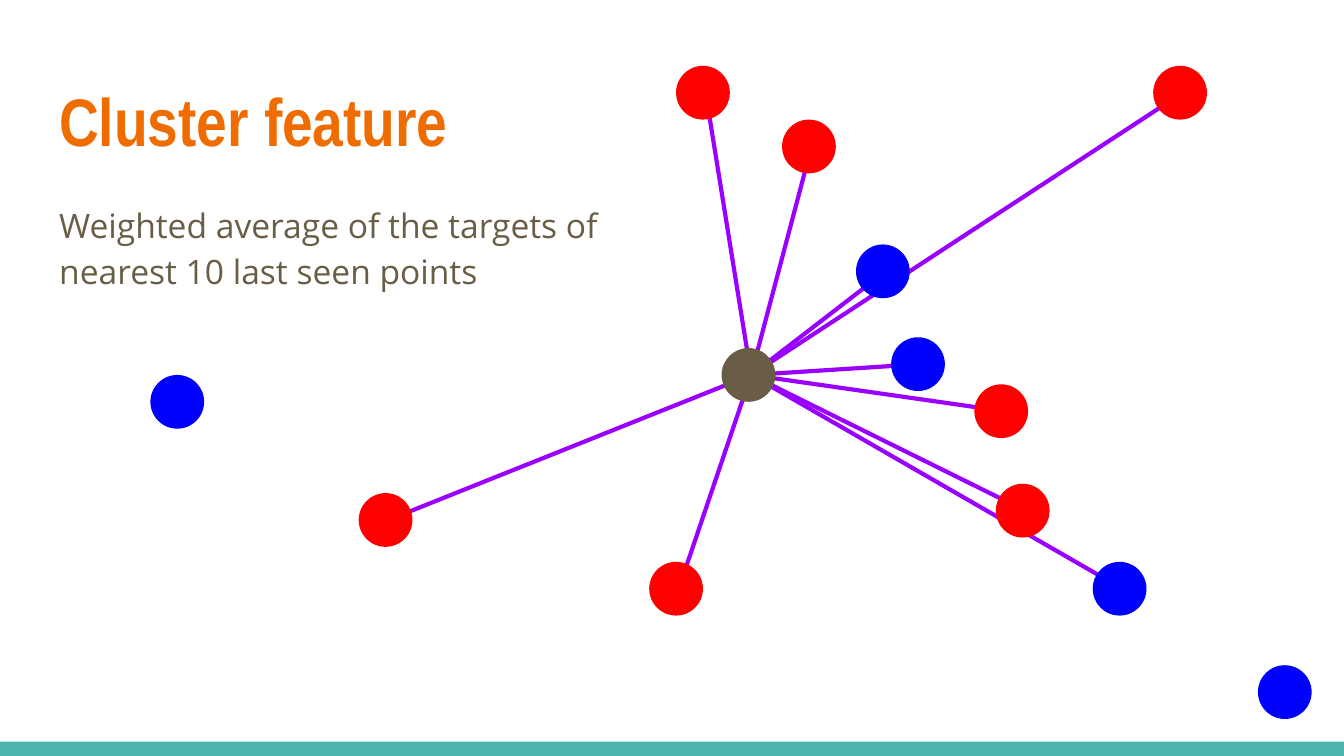
from pptx import Presentation
from pptx.dml.color import RGBColor as Rgb
from pptx.enum.shapes import MSO_CONNECTOR as Link, MSO_SHAPE as Form
from pptx.enum.text import MSO_ANCHOR as Anchor, MSO_AUTO_SIZE as Fit, PP_ALIGN as Align
from pptx.oxml.ns import qn
from pptx.util import Pt
from lxml.etree import SubElement

HUES = {"title": "EF6C00", "text": "695D46", "band": "4DB6AC",
        "red": "FF0000", "blue": "0000FF", "link": "9900FF"}
SIZE = 28.8
SHIFT = 1.4
HUB = (401, 200.9)
NEAR = [
    (362.2, 315.4, "red"), (376.6, 49.7, "red"), (433.4, 78.5, "red"),
    (491.8, 195.1, "blue"), (473, 145.4, "blue"), (632.2, 49.7, "red"),
    (599.8, 315.4, "blue"), (547.9, 273.6, "red"), (536.4, 220.3, "red"),
    (206.6, 278.6, "red"),
]
FAR = [(95, 215.3, "blue"), (688.3, 370.8, "blue")]


def hue(name):
    return Rgb.from_string(HUES[name])


def add_form(slide, form, box, name):
    shape = slide.shapes.add_shape(form, *map(Pt, box))
    shape.shadow.inherit = False
    shape.fill.solid()
    shape.fill.fore_color.rgb = hue(name)
    shape.line.fill.background()


def add_dot(slide, x, y, name):
    add_form(slide, Form.OVAL, (x - SIZE / 2, y - SIZE / 2, SIZE, SIZE), name)


def add_link(slide, start, end):
    line = slide.shapes.add_connector(Link.STRAIGHT, *map(Pt, start + end))
    line.line.color.rgb = hue("link")
    line.line.width = Pt(2.25)
    SubElement(line._element.spPr, qn("a:effectLst"))


def add_graph(slide, box):
    left, top = box[:2]
    x, y = left + HUB[0], top + HUB[1]
    for dx, dy, _ in NEAR:
        add_link(slide, (x + SHIFT, y), (left + dx + SHIFT, top + dy))
    for dx, dy, name in NEAR + FAR:
        add_dot(slide, left + dx, top + dy, name)
    add_dot(slide, x, y, "text")


def set_text(holder, box, text, font, size, name, bold=False):
    holder.left, holder.top, holder.width, holder.height = map(Pt, box)
    frame = holder.text_frame
    frame.text = text
    frame.word_wrap = True
    frame.auto_size = Fit.NONE
    frame.vertical_anchor = Anchor.TOP
    frame.margin_left = frame.margin_right = Pt(7.2)
    frame.margin_top = frame.margin_bottom = Pt(7.2)
    par = frame.paragraphs[0]
    par.alignment = Align.LEFT
    par.space_before = Pt(0)
    for run in par.runs:
        run.font.name = font
        run.font.size = Pt(size)
        run.font.bold = bold
        run.font.color.rgb = hue(name)
    return par


def add_words(slide, box):
    left, top, width = box
    title, body = slide.placeholders
    set_text(title, (left, top, width, 55.4), "Cluster feature",
             "Arial Narrow", 36, "title", True)
    par = set_text(body, (left, top + 64, 353.5, 36),
                   "Weighted average of the targets of \vnearest 10 last seen points",
                   "Open Sans", 18, "text")
    par.line_spacing = 1.15
    props = par._p.get_or_add_pPr()
    props.set("marL", "0")
    props.set("indent", "0")
    SubElement(props, qn("a:buNone"))


def main():
    deck = Presentation()
    deck.slide_width, deck.slide_height = Pt(720), Pt(405)
    slide = deck.slides.add_slide(deck.slide_layouts[1])
    add_form(slide, Form.RECTANGLE, (0, 397.4, 720, 7.6), "band")
    add_words(slide, (24.5, 35.3, 671))
    add_graph(slide, (0, 0, 720, 405))
    deck.save("out.pptx")


if __name__ == "__main__":
    main()
